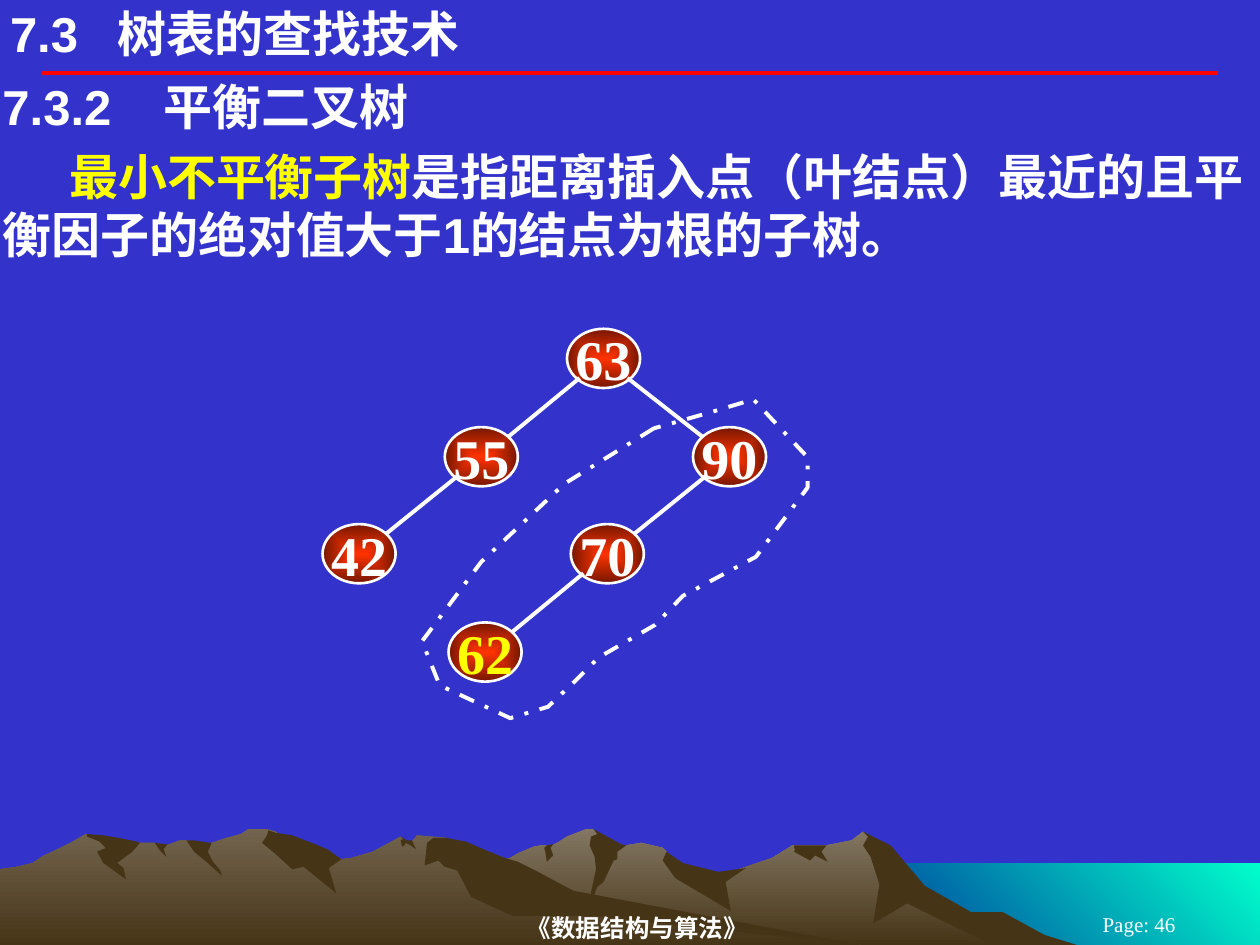
from lxml.etree import SubElement
from pptx import Presentation
from pptx.dml.color import RGBColor
from pptx.enum.dml import MSO_LINE
from pptx.enum.shapes import MSO_CONNECTOR, MSO_SHAPE
from pptx.enum.text import MSO_ANCHOR, PP_ALIGN
from pptx.oxml import parse_xml
from pptx.oxml.ns import nsdecls, qn
from pptx.util import Inches, Pt

BLUE = RGBColor(0x33, 0x33, 0xCC)
WHITE = RGBColor(0xFF, 0xFF, 0xFF)
YELLOW = RGBColor(0xFF, 0xFF, 0x00)
RED = RGBColor(0xFF, 0x00, 0x00)
DARK_BROWN = RGBColor(0x46, 0x34, 0x16)
LIGHT_BROWN = RGBColor(0x83, 0x77, 0x63)
MID_BROWN = RGBColor(0x72, 0x64, 0x4E)
SEA_GREEN = RGBColor(0x00, 0xFF, 0xCC)
SEA_BLUE = RGBColor(0x00, 0x33, 0x99)
NODE_RED = RGBColor(0xFF, 0x33, 0x00)
NODE_DARK = RGBColor(0x75, 0x17, 0x00)

HEADING = {"name": "Arial", "size": Pt(28), "bold": True}
FOOTER = {"name": "Times New Roman", "size": Pt(14), "bold": True}
PAGE_NUMBER = {"name": "Times New Roman", "size": Pt(12), "bold": False}
NODE_FONT = {"name": "Times New Roman", "size": Pt(32), "bold": True}

# Outlines are in hundredths of an inch from the corner of their region.
SEA = "1000,102 683,102 683,35 1000,35"
RIGHT_RANGE = (
    "802,90 778,77 764,73 723,48 702,21 685,10 676,17 656,21 629,21 613,31 566,47 "
    "536,40 529,26 526,23 509,19 497,21 486,23 474,11 471,8 465,8 450,14 444,18 438,21 "
    "430,21 424,22 412,27 405,31 394,35 355,48 327,59 277,89 258,101 821,101")
RIGHT_SHADOWS = [
    "796,74 771,74 734,53 707,21 685,10 689,14 685,21 691,30 698,52 693,83 720,67 "
    "792,102 858,101 829,92",
    "471,8 474,12 469,14 468,21 472,30 473,40 465,77 474,54 479,50 487,33 490,32 490,26 "
    "497,21 493,20",
    "529,26 526,33 536,47 580,73 576,50 592,39 570,42 542,35",
    "650,21 630,21 631,25 630,26 643,33 647,29 657,34 652,26 656,21",
    "433,27 432,23 434,21 439,20 437,23 439,29 434,34",
]
LEFT_RANGE = (
    "690,101 667,98 432,62 354,15 331,13 327,18 323,18 318,14 296,26 279,31 271,32 260,26 "
    "236,31 223,13 219,10 212,8 197,8 191,12 180,15 168,19 160,21 148,17 143,17 132,21 "
    "123,19 111,19 94,21 68,12 56,19 46,24 35,29 26,35 14,38 0,40 0,101")
LEFT_SHADOWS = [
    "212,13 208,19 219,28 232,40 241,38 267,59 261,39 271,32 260,24 245,18 232,13 219,11 213,9",
    "370,18 354,15 344,15 339,19 337,37 348,33 353,38 363,41 374,62 407,77 472,77 690,101 "
    "683,100 455,57 427,42 411,34 401,31 386,25",
    "318,17 320,16 318,14 323,17 327,17 330,24 326,21 322,19 321,21 319,22",
    "154,17 168,19 165,26 169,34 175,41 176,45 165,35 154,26 148,17",
    "133,20 130,24 132,30 127,25 123,19",
    "109,18 111,19 105,26 93,35 98,39 100,48 82,35 77,26 84,23 79,18 69,14 69,12 82,13 94,15",
]
SUBTREE_OUTLINE = (
    "263,79 192,123 126,185 79,248 93,283 149,309 179,300 200,280 219,261 264,235 286,212 "
    "344,181 385,126 385,102 342,56 309,66")

# Node: left, top, text colour
NODES = {
    "90": (2.94, 0.78, WHITE), "70": (1.97, 1.55, WHITE), "62": (1.0, 2.33, YELLOW),
    "63": (1.94, 0, WHITE), "55": (0.97, 0.78, WHITE), "42": (0, 1.55, WHITE),
}
EDGES = [("90", "70"), ("70", "62"), ("63", "55"), ("55", "42"), ("63", "90")]
NODE_WIDTH, NODE_HEIGHT = 0.58, 0.47


def apply_gradient(shape, start, end, direction):
    """Replace the fill; direction is the XML of a:lin or a:path."""
    shape.fill.background()
    empty_fill = shape.fill._xPr.find(qn("a:noFill"))
    gradient = parse_xml(
        f'<a:gradFill {nsdecls("a")} rotWithShape="1"><a:gsLst>'
        f'<a:gs pos="0"><a:srgbClr val="{start}"/></a:gs>'
        f'<a:gs pos="100000"><a:srgbClr val="{end}"/></a:gs>'
        f'</a:gsLst>{direction}</a:gradFill>')
    empty_fill.getparent().replace(empty_fill, gradient)


def linear(degrees):
    return f'<a:lin ang="{degrees * 60000}" scaled="0"/>'


def add_outline(slide, left, top, outline):
    points = [tuple(map(int, pair.split(","))) for pair in outline.split()]
    builder = slide.shapes.build_freeform(*points[0], scale=Inches(0.01))
    builder.add_line_segments(points[1:], close=True)
    shape = builder.convert_to_shape(Inches(left), Inches(top))
    shape.shadow.inherit = False
    shape.line.fill.background()
    return shape


def add_line(slide, start, end, color):
    points = [Inches(value) for value in (*start, *end)]
    connector = slide.shapes.add_connector(MSO_CONNECTOR.STRAIGHT, *points)
    connector.line.color.rgb = color
    connector.line.width = Pt(2.25)
    SubElement(connector._element.spPr, qn("a:effectLst"))


def write_runs(paragraph, runs, font_format):
    for text, color in runs:
        run = paragraph.add_run()
        run.text = text
        for name, value in font_format.items():
            setattr(run.font, name, value)
        run.font.color.rgb = color


def add_text(slide, box, runs, font_format, inset=(0.02, 0.01), tab=None, indent=None,
             centered=False):
    frame = slide.shapes.add_textbox(*map(Inches, box)).text_frame
    frame.word_wrap = True
    frame.margin_left = frame.margin_right = Inches(inset[0])
    frame.margin_top = frame.margin_bottom = Inches(inset[1])
    paragraph = frame.paragraphs[0]
    if centered:
        frame.vertical_anchor = MSO_ANCHOR.MIDDLE
        paragraph.alignment = PP_ALIGN.CENTER
    properties = paragraph._p.get_or_add_pPr()
    if indent:
        properties.set("indent", str(Inches(indent)))
    if tab:
        tabs = SubElement(properties, qn("a:tabLst"))
        SubElement(tabs, qn("a:tab"), pos=str(Inches(tab)), algn="l")
    write_runs(paragraph, runs, font_format)


def add_landscape(slide, left, top):
    sea = add_outline(slide, left, top, SEA)
    apply_gradient(sea, SEA_GREEN, SEA_BLUE, linear(135))
    for outline, light, shadows in ((RIGHT_RANGE, LIGHT_BROWN, RIGHT_SHADOWS),
                                    (LEFT_RANGE, MID_BROWN, LEFT_SHADOWS)):
        mountains = add_outline(slide, left, top, outline)
        apply_gradient(mountains, light, DARK_BROWN, linear(90))
        for shadow in shadows:
            shade = add_outline(slide, left, top, shadow)
            shade.fill.solid()
            shade.fill.fore_color.rgb = DARK_BROWN


def add_footer(slide, left, top):
    add_text(slide, (left + 2.03, top, 6.06, 0.28), [("《数据结构与算法》", WHITE)], FOOTER,
             inset=(0, 0.01), centered=True)
    add_text(slide, (left + 8.25, top + 0.03, 1.58, 0.17), [("Page: 46", WHITE)], PAGE_NUMBER,
             inset=(0.1, 0.05), centered=True)


def add_headings(slide, left, top):
    add_line(slide, (left + 0.33, top + 0.58), (left + 9.67, top + 0.58), RED)
    add_text(slide, (left + 0.08, top + 0.03, 6.5, 0.47), [("7.3\t树表的查找技术", WHITE)],
             HEADING, inset=(0, 0), tab=0.85)
    add_text(slide, (left, top + 0.6, 10, 0.49), [("7.3.2\t平衡二叉树", WHITE)],
             HEADING, tab=1.28)


def add_definition(slide, box):
    add_text(slide, box, [
        ("最小不平衡子树", YELLOW),
        ("是指距离插入点（叶结点）最近的且平衡因子的绝对值大于1的结点为根的子树。", WHITE),
    ], HEADING, indent=0.53)


def add_node(slide, left, top, key, color):
    node = slide.shapes.add_shape(MSO_SHAPE.OVAL, Inches(left), Inches(top),
                                  Inches(NODE_WIDTH), Inches(NODE_HEIGHT))
    node.shadow.inherit = False
    apply_gradient(node, NODE_RED, NODE_DARK,
                   '<a:path path="rect"><a:fillToRect l="50000" t="50000" r="50000" b="50000"/>'
                   '</a:path>')
    node.line.color.rgb = WHITE
    node.line.width = Pt(1.5)
    frame = node.text_frame
    frame.word_wrap = False
    frame.vertical_anchor = MSO_ANCHOR.MIDDLE
    frame.paragraphs[0].alignment = PP_ALIGN.CENTER
    write_runs(frame.paragraphs[0], [(key, color)], NODE_FONT)


def add_tree(slide, left, top):
    for key, (x, y, color) in NODES.items():
        add_node(slide, left + x, top + y, key, color)
    for parent, child in EDGES:
        parent_x, parent_y, _ = NODES[parent]
        child_x, child_y, _ = NODES[child]
        goes_left = child_x < parent_x
        start_x = parent_x + (0.1 if goes_left else NODE_WIDTH - 0.1)
        end_x = child_x + (NODE_WIDTH - 0.08 if goes_left else 0.08)
        add_line(slide, (left + start_x, top + parent_y + NODE_HEIGHT - 0.08),
                 (left + end_x, top + child_y + 0.08), WHITE)
    subtree = add_outline(slide, left, top, SUBTREE_OUTLINE)
    subtree.fill.background()
    subtree.line.color.rgb = WHITE
    subtree.line.width = Pt(2.25)
    subtree.line.dash_style = MSO_LINE.DASH_DOT


def main():
    presentation = Presentation()
    presentation.slide_width, presentation.slide_height = Inches(10), Inches(7.5)
    slide = presentation.slides.add_slide(presentation.slide_layouts[6])
    slide.background.fill.solid()
    slide.background.fill.fore_color.rgb = BLUE
    add_landscape(slide, 0, 6.5)
    add_footer(slide, 0, 7.22)
    add_headings(slide, 0, 0)
    add_definition(slide, (0, 1.15, 9.96, 0.96))
    add_tree(slide, 2.56, 2.61)
    presentation.save("out.pptx")


if __name__ == "__main__":
    main()
